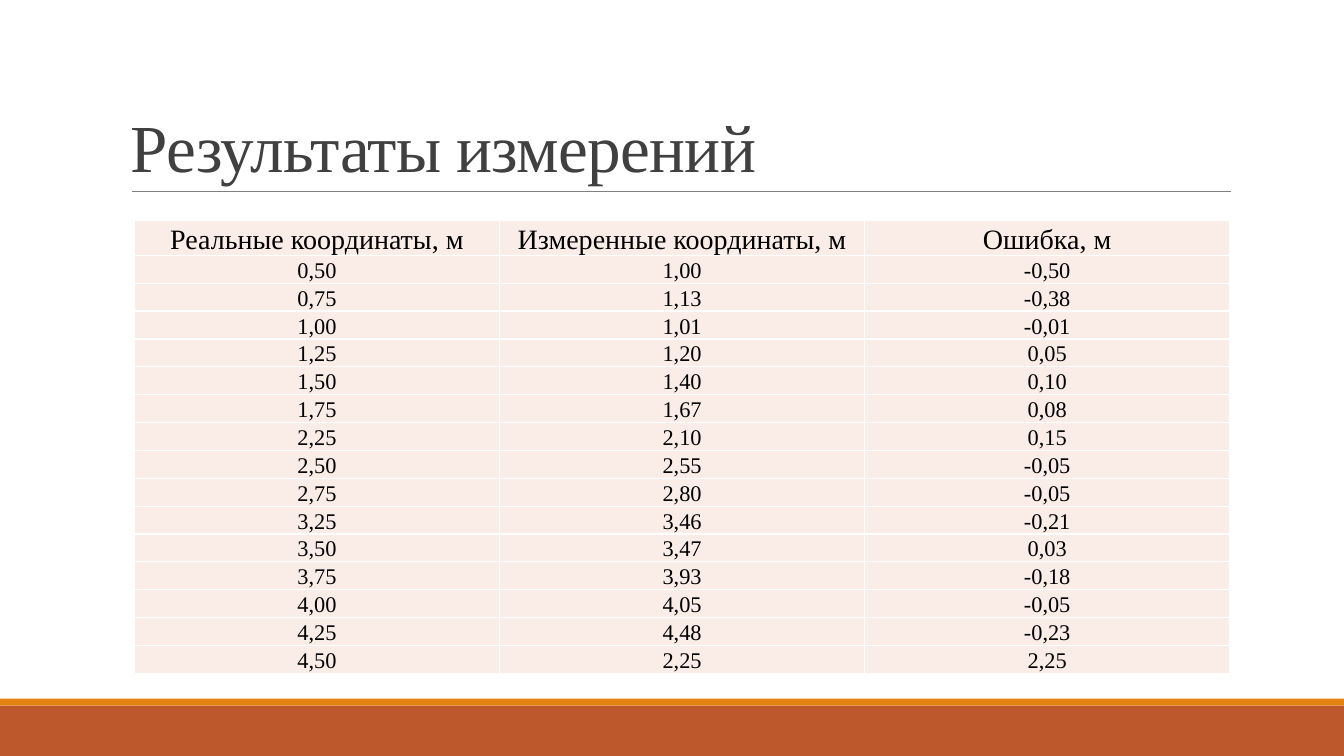
from dataclasses import dataclass
from pptx import Presentation
from pptx.dml.color import RGBColor as RGB
from pptx.enum.shapes import MSO_CONNECTOR as LINK, MSO_SHAPE as SHAPE
from pptx.enum.text import MSO_ANCHOR as ANCHOR, PP_ALIGN as ALIGN
from pptx.oxml import parse_xml
from pptx.oxml.ns import nsdecls
from pptx.util import Pt

TITLE = "Результаты измерений"
HEADS = ("Реальные координаты, м", "Измеренные координаты, м", "Ошибка, м")
DATA = [
    ("0,50", "1,00", "-0,50"),
    ("0,75", "1,13", "-0,38"),
    ("1,00", "1,01", "-0,01"),
    ("1,25", "1,20", "0,05"),
    ("1,50", "1,40", "0,10"),
    ("1,75", "1,67", "0,08"),
    ("2,25", "2,10", "0,15"),
    ("2,50", "2,55", "-0,05"),
    ("2,75", "2,80", "-0,05"),
    ("3,25", "3,46", "-0,21"),
    ("3,50", "3,47", "0,03"),
    ("3,75", "3,93", "-0,18"),
    ("4,00", "4,05", "-0,05"),
    ("4,25", "4,48", "-0,23"),
    ("4,50", "2,25", "2,25"),
]


@dataclass(frozen=True)
class Theme:
    font: str = "Times New Roman"
    title: int = 48
    head: int = 20
    body: int = 16
    ink: str = "000000"
    gray: str = "404040"
    rule: str = "808080"
    rust: str = "BD582C"
    gold: str = "E48312"
    pale: str = "FAEDE7"
    grid: str = "FFFFFF"


THEME = Theme()
WIDE, HIGH = 960, 540
BANDS = [(504, 36, THEME.rust), (499, 5, THEME.gold)]
RULE = (94.3, 879.1, 136.8)
TITLE_BOX = (86.4, 22.3, 792, 114.5)
LEFT, TOP, COL, ROW = 96, 157.7, 260.8, 19.4


def color(code):
    return RGB.from_string(code)


def style(para, size, code):
    para.font.name = THEME.font
    para.font.size = Pt(size)
    para.font.color.rgb = color(code)


def add_band(slide, top, high, code):
    band = slide.shapes.add_shape(SHAPE.RECTANGLE, 0, Pt(top), Pt(WIDE), Pt(high))
    band.shadow.inherit = False
    band.fill.solid()
    band.fill.fore_color.rgb = color(code)
    band.line.fill.background()


def add_rule(slide):
    start, end, y = map(Pt, RULE)
    line = slide.shapes.add_connector(LINK.STRAIGHT, start, y, end, y)
    line.line.width = Pt(0.5)
    line.line.color.rgb = color(THEME.rule)
    line._element.spPr.append(parse_xml(f"<a:effectLst {nsdecls('a')}/>"))


def add_title(slide):
    frame = slide.shapes.add_textbox(*map(Pt, TITLE_BOX)).text_frame
    frame.word_wrap = True
    frame.vertical_anchor = ANCHOR.BOTTOM
    para = frame.paragraphs[0]
    run = para.add_run()
    run.text = TITLE
    run.font._element.set("spc", "-50")
    para.line_spacing = 0.85
    style(para, THEME.title, THEME.gray)


def add_edges(cell):
    """Draw the thin grid line on all four sides of a cell."""
    props = cell._tc.get_or_add_tcPr()
    for i, side in enumerate(("lnL", "lnR", "lnT", "lnB")):
        props.insert(i, parse_xml(
            f'<a:{side} {nsdecls("a")} w="{Pt(1)}"><a:solidFill>'
            f'<a:srgbClr val="{THEME.grid}"/></a:solidFill></a:{side}>'))


def fill_cell(cell, text, size):
    cell.text = text
    cell.vertical_anchor = ANCHOR.BOTTOM
    cell.margin_left = cell.margin_right = cell.margin_top = Pt(0.7)
    cell.margin_bottom = 0
    cell.fill.solid()
    cell.fill.fore_color.rgb = color(THEME.pale)
    add_edges(cell)
    para = cell.text_frame.paragraphs[0]
    para.alignment = ALIGN.CENTER
    style(para, size, THEME.ink)


def add_results(slide):
    rows = [HEADS, *DATA]
    count, cols = len(rows), len(HEADS)
    table = slide.shapes.add_table(
        count, cols, Pt(LEFT), Pt(TOP), Pt(COL * cols), Pt(ROW * count)).table
    table.first_row = table.horz_banding = False
    for col in table.columns:
        col.width = Pt(COL)
    for r, row in enumerate(rows):
        table.rows[r].height = Pt(ROW)
        size = THEME.body if r else THEME.head
        for c, text in enumerate(row):
            fill_cell(table.cell(r, c), text, size)


def main():
    deck = Presentation()
    deck.slide_width, deck.slide_height = Pt(WIDE), Pt(HIGH)
    slide = deck.slides.add_slide(deck.slide_layouts[6])
    for band in BANDS:
        add_band(slide, *band)
    add_rule(slide)
    add_title(slide)
    add_results(slide)
    deck.save("out.pptx")


if __name__ == "__main__":
    main()
